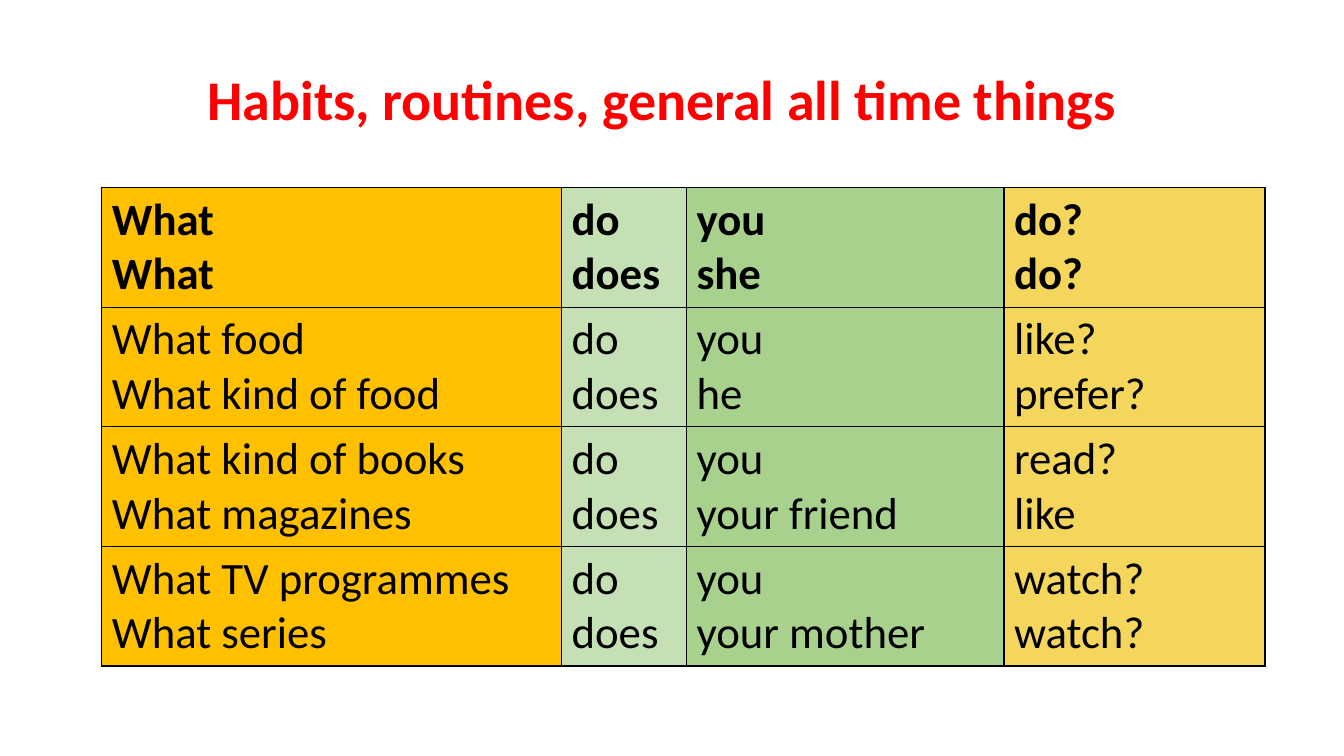
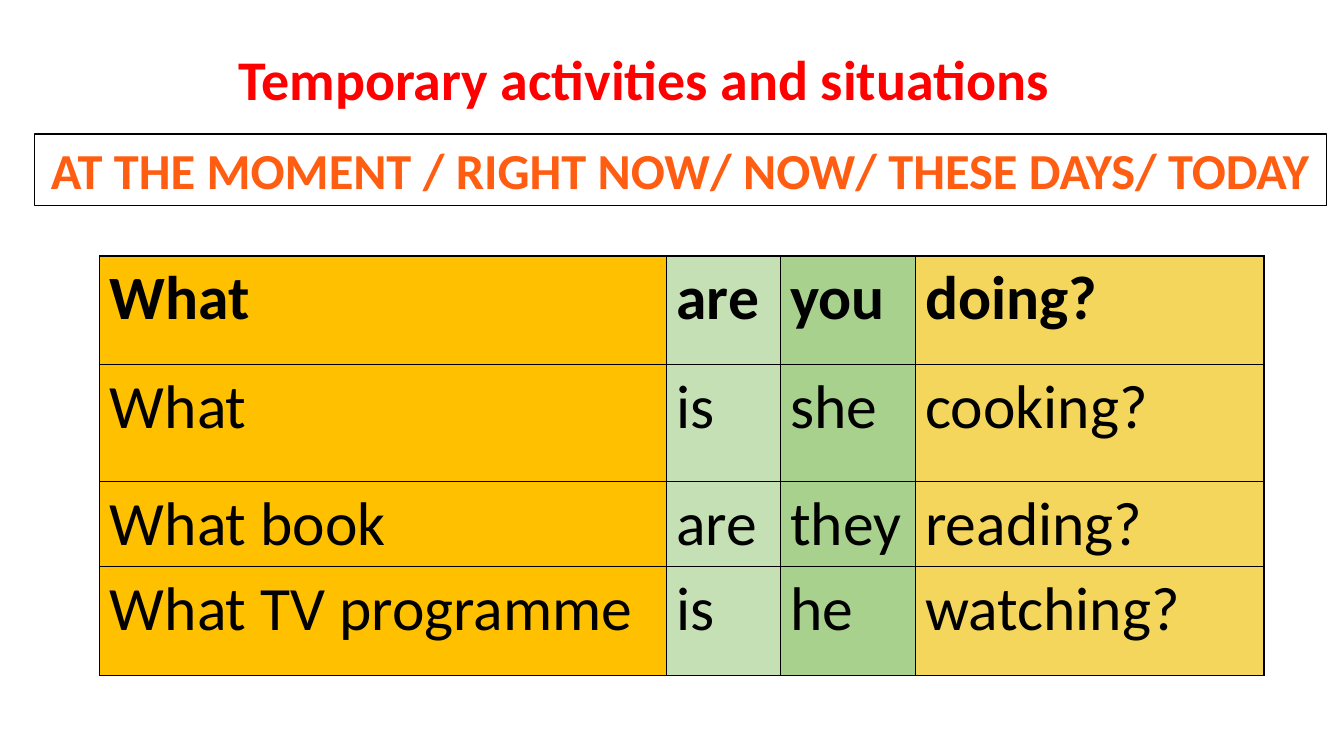
from lxml import etree
from pptx import Presentation
from pptx.dml.color import RGBColor
from pptx.enum.shapes import MSO_SHAPE
from pptx.enum.text import MSO_ANCHOR, PP_ALIGN
from pptx.oxml.ns import qn
from pptx.util import Inches, Pt

RECTANGLE = MSO_SHAPE.RECTANGLE
CENTER, MIDDLE = PP_ALIGN.CENTER, MSO_ANCHOR.MIDDLE

COLORS = {"title": "FF0000", "time words": "FF5D12", "text": "000000",
          "border": "000000", "paper": "FFFFFF"}
# Sentence parts, left to right
COLUMN_FILLS = {"question": "FFC000", "auxiliary": "C5E0B4",
                "subject": "A9D18E", "verb": "F3D65B"}
FONT = "Calibri"
TITLE_WIDTH, TITLE_HEIGHT = 71.4, 10.27

# Lengths are percentages of the slide's width (left, columns) or height (top, rows)
LESSONS = [
    {
        "title": "Habits, routines, general all time things",
        "title at": (14.7, 7.87),
        "table at": (7.58, 24.8),
        "columns": [34.2, 9.3, 23.62, 19.42],
        "rows": [15.8] * 4,
        "size": 32,
        "sentences": [
            ["What\nWhat", "do\ndoes", "you\nshe", "do?\ndo?"],
            ["What food\nWhat kind of food", "do\ndoes", "you\nhe", "like?\nprefer?"],
            ["What kind of books\nWhat magazines", "do\ndoes", "you\nyour friend", "read?\nlike"],
            ["What TV programmes\nWhat series", "do\ndoes", "you\nyour mother", "watch?\nwatch?"],
        ],
    },
    {
        "title": "Temporary activities and situations",
        "title at": (17.03, 5.2),
        "time words": "AT THE MOMENT / RIGHT NOW/ NOW/ THESE DAYS/ TODAY",
        "table at": (7.43, 33.87),
        "columns": [42.15, 8.47, 10.05, 25.95],
        "rows": [14.4, 15.47, 11.2, 14.4],
        "size": 44,
        "sentences": [
            ["What", "are", "you", "doing?"],
            ["What", "is", "she", "cooking?"],
            ["What book", "are", "they", "reading?"],
            ["What TV programme", "is", "he", "watching?"],
        ],
    },
]

deck = Presentation()
deck.slide_width, deck.slide_height = Inches(13.333), Inches(7.5)


def share(*percents):
    """Turn alternating percentages of slide width and height into lengths."""
    sides = (deck.slide_width, deck.slide_height)
    return [int(sides[i % 2] * percent / 100) for i, percent in enumerate(percents)]


def write(frame, text, size, color, bold):
    frame.text = text
    for paragraph in frame.paragraphs:
        font = paragraph.font
        font.name, font.size, font.bold = FONT, Pt(size), bold
        font.color.rgb = RGBColor.from_string(COLORS[color])


for lesson in LESSONS:
    slide = deck.slides.add_slide(deck.slide_layouts[6])

    table = slide.shapes.add_table(
        len(lesson["rows"]), len(lesson["columns"]),
        *share(*lesson["table at"], sum(lesson["columns"]), sum(lesson["rows"]))).table
    for column, width in zip(table.columns, lesson["columns"]):
        column.width = share(width)[0]
    for row, height in zip(table.rows, lesson["rows"]):
        row.height = share(0, height)[1]
    for r, sentence in enumerate(lesson["sentences"]):
        for c, (words, fill) in enumerate(zip(sentence, COLUMN_FILLS.values())):
            cell = table.cell(r, c)
            write(cell.text_frame, words, lesson["size"], "text", r == 0)
            properties = cell._tc.get_or_add_tcPr()
            for side in ("a:lnL", "a:lnR", "a:lnT", "a:lnB"):
                border = etree.SubElement(properties, qn(side), w=str(Pt(1)))
                solid = etree.SubElement(border, qn("a:solidFill"))
                etree.SubElement(solid, qn("a:srgbClr"), val=COLORS["border"])
            cell.fill.solid()
            cell.fill.fore_color.rgb = RGBColor.from_string(fill)

    title = slide.shapes.add_textbox(
        *share(*lesson["title at"], TITLE_WIDTH, TITLE_HEIGHT)).text_frame
    title.word_wrap = True
    write(title, lesson["title"], 40, "title", True)

    if "time words" in lesson:
        banner = slide.shapes.add_shape(RECTANGLE, *share(2.55, 17.73, 96.15, 9.47))
        banner.shadow.inherit = False
        banner.fill.solid()
        banner.fill.fore_color.rgb = RGBColor.from_string(COLORS["paper"])
        banner.line.color.rgb = RGBColor.from_string(COLORS["border"])
        banner.line.width = Pt(1)
        banner.text_frame.word_wrap = False
        banner.text_frame.vertical_anchor = MIDDLE
        write(banner.text_frame, lesson["time words"], 36, "time words", True)
        banner.text_frame.paragraphs[0].alignment = CENTER

deck.save("out.pptx")
